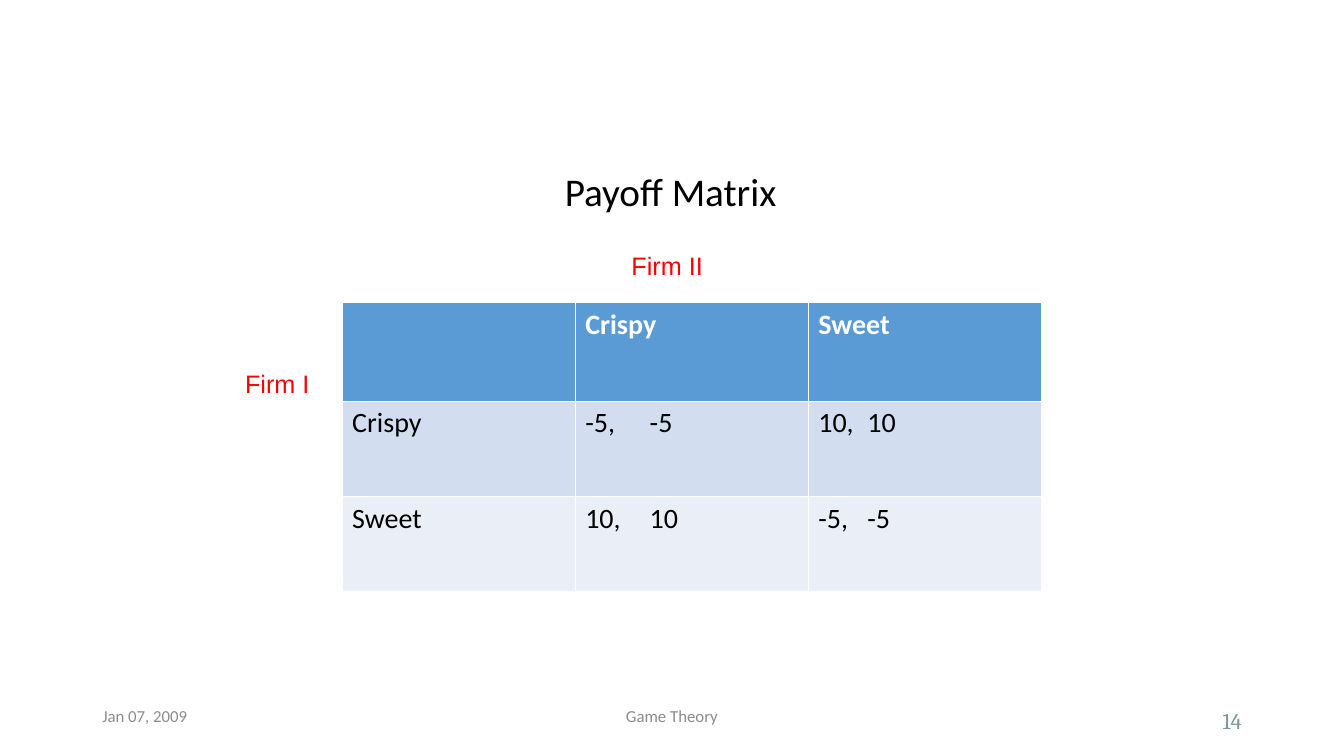
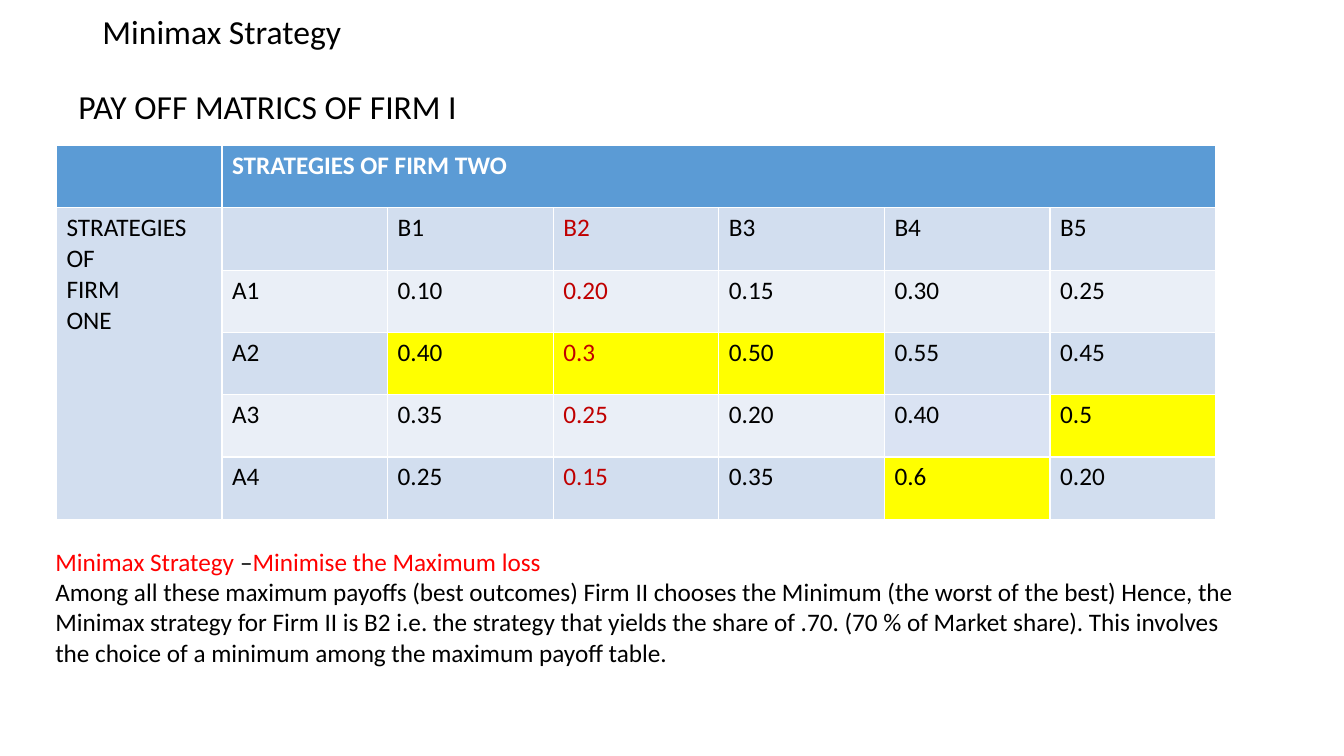
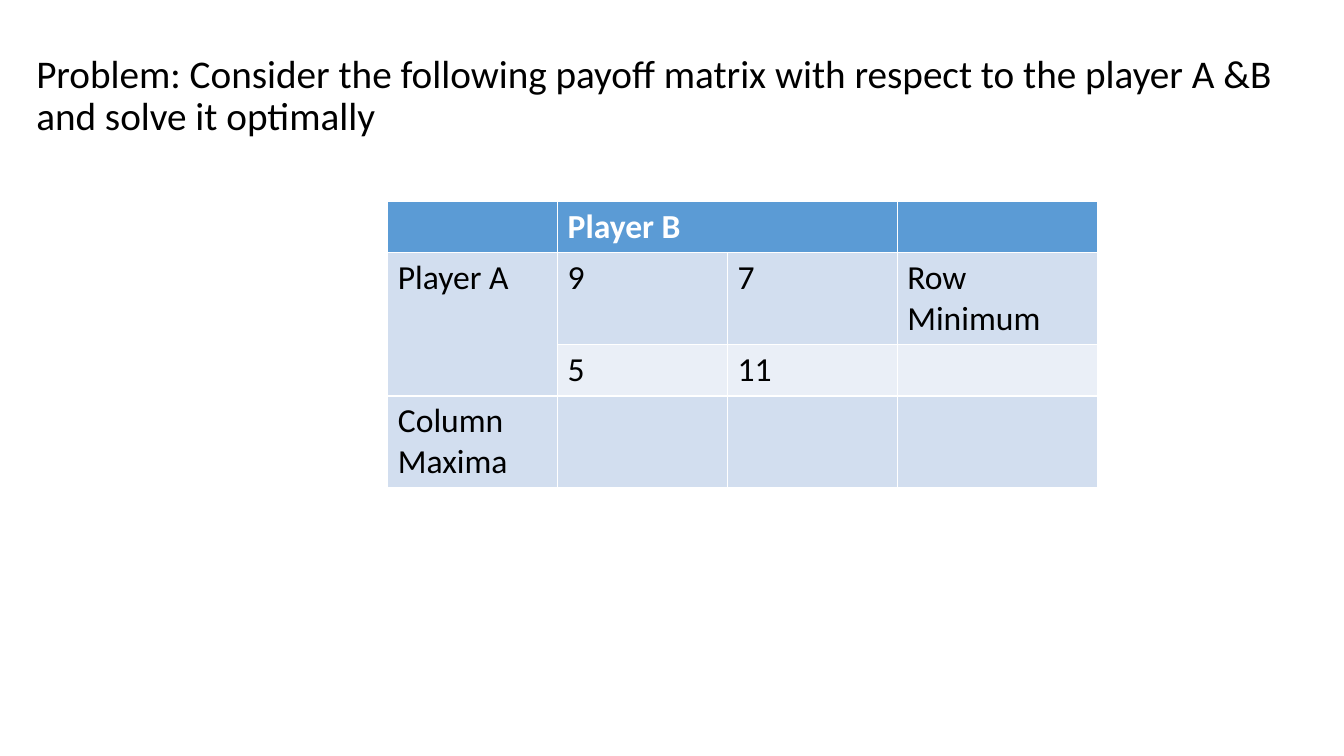
from lxml.etree import SubElement
from pptx import Presentation
from pptx.dml.color import RGBColor
from pptx.enum.text import MSO_ANCHOR, PP_ALIGN
from pptx.oxml.ns import qn
from pptx.util import Pt

# Shared colours and font
BLACK = RGBColor(0x00, 0x00, 0x00)
WHITE = RGBColor(0xFF, 0xFF, 0xFF)
RED = RGBColor(0xFF, 0x00, 0x00)
DARK_RED = RGBColor(0xC0, 0x00, 0x00)
GREY = RGBColor(0x8C, 0x8C, 0x8C)
TEAL = RGBColor(0x7B, 0x98, 0x99)
HEADER = RGBColor(0x5B, 0x9B, 0xD5)
BAND = RGBColor(0xD2, 0xDE, 0xEF)
LIGHT = RGBColor(0xEA, 0xEF, 0xF7)
LAVENDER = RGBColor(0xDA, 0xE3, 0xF3)
YELLOW = RGBColor(0xFF, 0xFF, 0x00)
FONT = "Calibri"
TITLE_ONLY = 5


def set_font(font, size, color, name=FONT, bold=False):
    font.name = name
    font.size = Pt(size)
    font.bold = bold
    font.color.rgb = color


def place(sp, left, top, width, height):
    sp.left, sp.top, sp.width, sp.height = Pt(left), Pt(top), Pt(width), Pt(height)


def add_titled_slide(prs, text, box, size, align=PP_ALIGN.LEFT, anchor=MSO_ANCHOR.MIDDLE):
    s = prs.slides.add_slide(prs.slide_layouts[TITLE_ONLY])
    title = s.shapes.title
    place(title, *box)
    tf = title.text_frame
    tf.text = text
    tf.vertical_anchor = anchor
    p = tf.paragraphs[0]
    p.alignment = align
    p.line_spacing = 0.9
    set_font(p.font, size, BLACK)
    return s


def add_text(s, box, paragraphs, size, name=FONT, align=PP_ALIGN.LEFT, anchor=MSO_ANCHOR.TOP):
    """Each paragraph is a list of (text, colour) runs."""
    tf = s.shapes.add_textbox(*map(Pt, box)).text_frame
    tf.word_wrap = True
    tf.vertical_anchor = anchor
    for i, runs in enumerate(paragraphs):
        p = tf.add_paragraph() if i else tf.paragraphs[0]
        p.alignment = align
        base = runs[0][1]
        set_font(p.font, size, base, name)
        for text, color in runs:
            r = p.add_run()
            r.text = text
            if color != base:
                r.font.color.rgb = color


def add_tab_stop(p, position):
    tabs = SubElement(p._p.get_or_add_pPr(), qn("a:tabLst"))
    SubElement(tabs, qn("a:tab"), pos=str(Pt(position)), algn="l")


def fill_cell(cell, color):
    cell.fill.solid()
    cell.fill.fore_color.rgb = color


def add_matrix(s, left, top, widths, heights, rows, size, merges=(), tab_stops=None):
    """Banded table; merges are pairs of (row, column) corners."""
    frame = s.shapes.add_table(len(rows), len(widths), Pt(left), Pt(top),
                               Pt(sum(widths)), Pt(sum(heights)))
    table = frame.table
    for column, width in zip(table.columns, widths):
        column.width = Pt(width)
    for row, height in zip(table.rows, heights):
        row.height = Pt(height)
    for r, texts in enumerate(rows):
        fill = HEADER if r == 0 else BAND if r % 2 else LIGHT
        for c, text in enumerate(texts):
            cell = table.cell(r, c)
            fill_cell(cell, fill)
            cell.text = text
            for p in cell.text_frame.paragraphs:
                if "\t" in text:
                    add_tab_stop(p, tab_stops[c])
                set_font(p.font, size, BLACK if r else WHITE, bold=r == 0)
    for start, end in merges:
        table.cell(*start).merge(table.cell(*end))
    return table


def add_footer(s, date, topic, number):
    top, height = 500.4, 28.8
    add_text(s, (66, top, 216, height), [[(date, GREY)]], 12)
    add_text(s, (318, top, 324, height), [[(topic, GREY)]], 12, align=PP_ALIGN.CENTER)
    add_text(s, (678, top, 216, height), [[(number, TEAL)]], 16, "Cambria",
             PP_ALIGN.RIGHT, MSO_ANCHOR.MIDDLE)


def payoff_slide(prs):
    s = add_titled_slide(prs, "Payoff Matrix", (144, 120, 670, 40), 28,
                         PP_ALIGN.CENTER, MSO_ANCHOR.TOP)
    add_footer(s, "Jan 07, 2009", "Game Theory", "14")
    rows = [
        ["", "Crispy", "Sweet"],
        ["Crispy", "-5,\t-5", "10,\t10"],
        ["Sweet", "10,\t10", "-5,\t-5"],
    ]
    add_matrix(s, 244.4, 216, [166.5] * 3, [70.5, 68, 68], rows, 20,
               tab_stops={1: 46, 2: 35})
    add_text(s, (168, 259.2, 70, 29), [[("Firm I", RED)]], 18, "Arial")
    add_text(s, (444, 175, 75, 29), [[("Firm II", RED)]], 18, "Arial")


def minimax_slide(prs):
    s = add_titled_slide(prs, "Minimax Strategy", (66, 0, 828, 47.5), 24)
    rows = [
        ["", "STRATEGIES OF FIRM TWO", "", "", "", "", ""],
        ["STRATEGIES\nOF\nFIRM\nONE", "", "B1", "B2", "B3", "B4", "B5"],
        ["", "A1", "0.10", "0.20", "0.15", "0.30", "0.25"],
        ["", "A2", "0.40", "0.3", "0.50", "0.55", "0.45"],
        ["", "A3", "0.35", "0.25", "0.20", "0.40", "0.5"],
        ["", "A4", "0.25", "0.15", "0.35", "0.6", "0.20"],
    ]
    table = add_matrix(s, 40.3, 104, [118.3] * 7, [44.5] * 6, rows, 18,
                       merges=[((0, 1), (0, 6)), ((1, 0), (5, 0))])
    # Column maxima in yellow, chosen strategy B2 in red
    for r, c in [(3, 2), (3, 3), (3, 4), (4, 6), (5, 5)]:
        fill_cell(table.cell(r, c), YELLOW)
    fill_cell(table.cell(4, 5), LAVENDER)
    for r in range(1, len(rows)):
        table.cell(r, 3).text_frame.paragraphs[0].font.color.rgb = DARK_RED

    add_text(s, (49, 57.6, 900, 36), [[("PAY OFF MATRICS OF FIRM I", BLACK)]], 24)
    add_text(s, (32.4, 386.6, 871, 94), [
        [("Minimax Strategy ", RED), ("–", BLACK), ("Minimise the Maximum loss", RED)],
        [("Among all these maximum payoffs (best outcomes) Firm II chooses the Minimum "
          "(the worst of the best) Hence, the Minimax strategy for Firm II is B2 i.e. the "
          "strategy that yields the share of .70. (70 % of Market share). This involves the "
          "choice of a minimum among the maximum payoff table.", BLACK)],
    ], 18)


def problem_slide(prs):
    s = add_titled_slide(prs, "Problem: Consider the following payoff matrix with respect to "
                         "the player A &B and solve it optimally", (18.7, 28.8, 927, 80.6), 28)
    rows = [
        ["", "Player B", "", ""],
        ["Player A", "9", "7", "Row Minimum"],
        ["", "5", "11", ""],
        ["Column Maxima", "", "", ""],
    ]
    add_matrix(s, 277, 144, [121.3] * 3 + [143.3], [36.4, 65.7] * 1 + [36.4, 65.7], rows, 24,
               merges=[((0, 1), (0, 2)), ((1, 0), (2, 0))])


def main():
    prs = Presentation()
    prs.slide_width, prs.slide_height = Pt(960), Pt(540)
    payoff_slide(prs)
    minimax_slide(prs)
    problem_slide(prs)
    prs.save("out.pptx")


if __name__ == "__main__":
    main()
